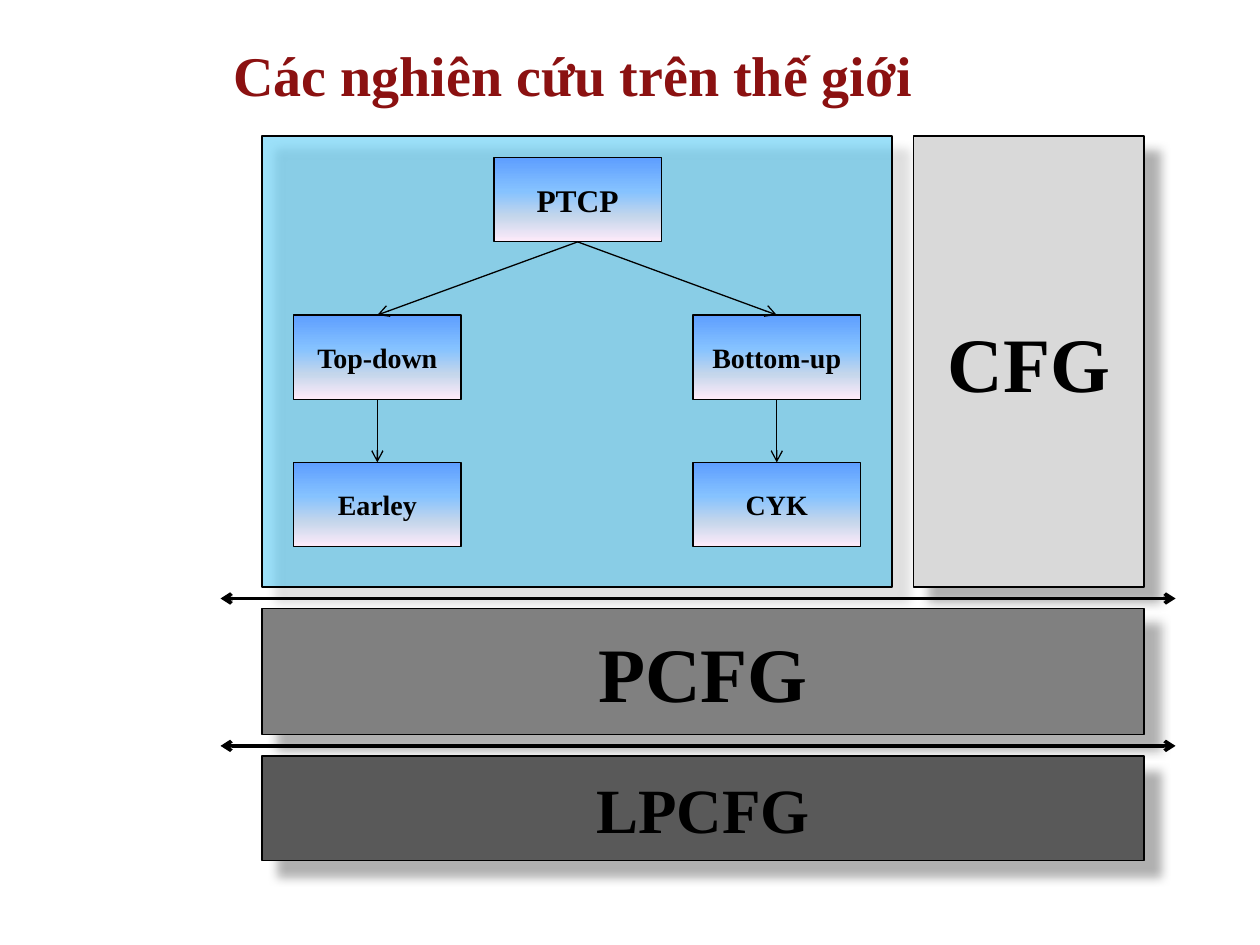
from lxml import etree
from pptx import Presentation
from pptx import util as u
from pptx.dml.color import RGBColor
from pptx.enum import shapes, text
from pptx.oxml import ns


class Theme:
    font = "Times New Roman"
    title, ink = "8B1111", "000000"
    parsers, cfg, pcfg, lpcfg = "00B0F0", "D9D9D9", "808080", "595959"
    parsers_opacity, shadow_opacity = 39, 31
    gradient = [(0, "5E9EFF"), (40, "85C2FF"), (70, "C4D6EB"), (100, "FFEBFA")]
    title_size, root_size, node_size, panel_size, base_size = 32, 18, 16, 44, 36
    thin, thick = 0.75, 2


def add_element(parent, tag, **attributes):
    values = {name: str(value) for name, value in attributes.items()}
    return etree.SubElement(parent, ns.qn(tag), values)


def add_box(slide, label, size, left, top, width, height, color=None):
    """Add a shadowed panel in the given color, or a gradient node without one."""
    shape = slide.shapes.add_shape(
        shapes.MSO_SHAPE.RECTANGLE, *map(u.Inches, (left, top, width, height)))
    shape.shadow.inherit = False
    shape.line.color.rgb = RGBColor.from_string(Theme.ink)
    shape.line.width = u.Pt(Theme.thin)
    properties = shape._element.spPr
    if color:
        shape.fill.solid()
        shape.fill.fore_color.rgb = RGBColor.from_string(color)
        shadow = add_element(properties.find(ns.qn("a:effectLst")), "a:outerShdw",
                             blurRad=u.Pt(6), dist=u.Pt(12), dir=44 * 60000,
                             algn="tl", rotWithShape=0)
        shadow_color = add_element(shadow, "a:srgbClr", val=Theme.ink)
        add_element(shadow_color, "a:alpha", val=Theme.shadow_opacity * 1000)
    else:
        shape.fill.gradient()
        shape.fill.gradient_angle = 270
        stops = properties.find(".//" + ns.qn("a:gsLst"))
        for stop in list(stops):
            stops.remove(stop)
        for position, stop_color in Theme.gradient:
            stop = add_element(stops, "a:gs", pos=position * 1000)
            add_element(stop, "a:srgbClr", val=stop_color)
    if label:
        shape.text_frame.text = label
        shape.text_frame.vertical_anchor = text.MSO_ANCHOR.MIDDLE
        paragraph = shape.text_frame.paragraphs[0]
        paragraph.alignment = text.PP_ALIGN.CENTER
        font_format = {"name": Theme.font, "size": u.Pt(size), "bold": True}
        for name, value in font_format.items():
            setattr(paragraph.font, name, value)
        paragraph.font.color.rgb = RGBColor.from_string(Theme.ink)
    return shape


presentation = Presentation()
presentation.slide_width = u.Inches(10)
presentation.slide_height = u.Inches(7.5)
slide = presentation.slides.add_slide(presentation.slide_layouts[5])

# Title
title = slide.shapes.title
title_place = {"left": 1.75, "top": 0.17, "width": 7.67, "height": 0.83}
for name, value in title_place.items():
    setattr(title, name, u.Inches(value))
title.text_frame.text = "Các nghiên cứu trên thế giới"
title.text_frame.vertical_anchor = text.MSO_ANCHOR.MIDDLE
paragraph = title.text_frame.paragraphs[0]
paragraph.alignment = text.PP_ALIGN.LEFT
title_format = {"name": Theme.font, "size": u.Pt(Theme.title_size), "bold": True}
for name, value in title_format.items():
    setattr(paragraph.font, name, value)
paragraph.font.color.rgb = RGBColor.from_string(Theme.title)

# Panels: parsing methods, then the three grammar classes
parsers_panel = add_box(slide, "", 0, 2.08, 1.08, 5, 3.58, Theme.parsers)
panel_color = parsers_panel._element.spPr.find(
    ns.qn("a:solidFill") + "/" + ns.qn("a:srgbClr"))
add_element(panel_color, "a:alpha", val=Theme.parsers_opacity * 1000)
for label, size, left, top, width, height, color in [
    ("CFG", Theme.panel_size, 7.25, 1.08, 1.83, 3.58, Theme.cfg),
    ("PCFG", Theme.panel_size, 2.08, 4.83, 7, 1, Theme.pcfg),
    ("LPCFG", Theme.base_size, 2.08, 6, 7, 0.83, Theme.lpcfg),
]:
    add_box(slide, label, size, left, top, width, height, color)

# Tree of parsing methods
node_width, node_height = 1.33, 0.67
root = add_box(slide, "PTCP", Theme.root_size, 3.92, 1.25, node_width, node_height)
arrows = []
for left, labels in [(2.33, ("Top-down", "Earley")), (5.5, ("Bottom-up", "CYK"))]:
    parent = root
    for top, label in zip((2.5, 3.67), labels):
        node = add_box(slide, label, Theme.node_size, left, top, node_width, node_height)
        arrow = slide.shapes.add_connector(shapes.MSO_CONNECTOR.STRAIGHT, 0, 0, 0, 0)
        arrow.begin_connect(parent, 2)
        arrow.end_connect(node, 0)
        arrows.append((arrow, Theme.thin, ["a:tailEnd"]))
        parent = node

# Double arrows between the grammar levels
for y in (4.75, 5.92):
    arrow = slide.shapes.add_connector(
        shapes.MSO_CONNECTOR.STRAIGHT, *map(u.Inches, (1.75, y, 9.33, y)))
    arrows.append((arrow, Theme.thick, ["a:headEnd", "a:tailEnd"]))

for arrow, width, ends in arrows:
    arrow.line.color.rgb = RGBColor.from_string(Theme.ink)
    arrow.line.width = u.Pt(width)
    for end in ends:
        add_element(arrow.line._get_or_add_ln(), end, type="arrow")
    add_element(arrow._element.spPr, "a:effectLst")

presentation.save("out.pptx")
